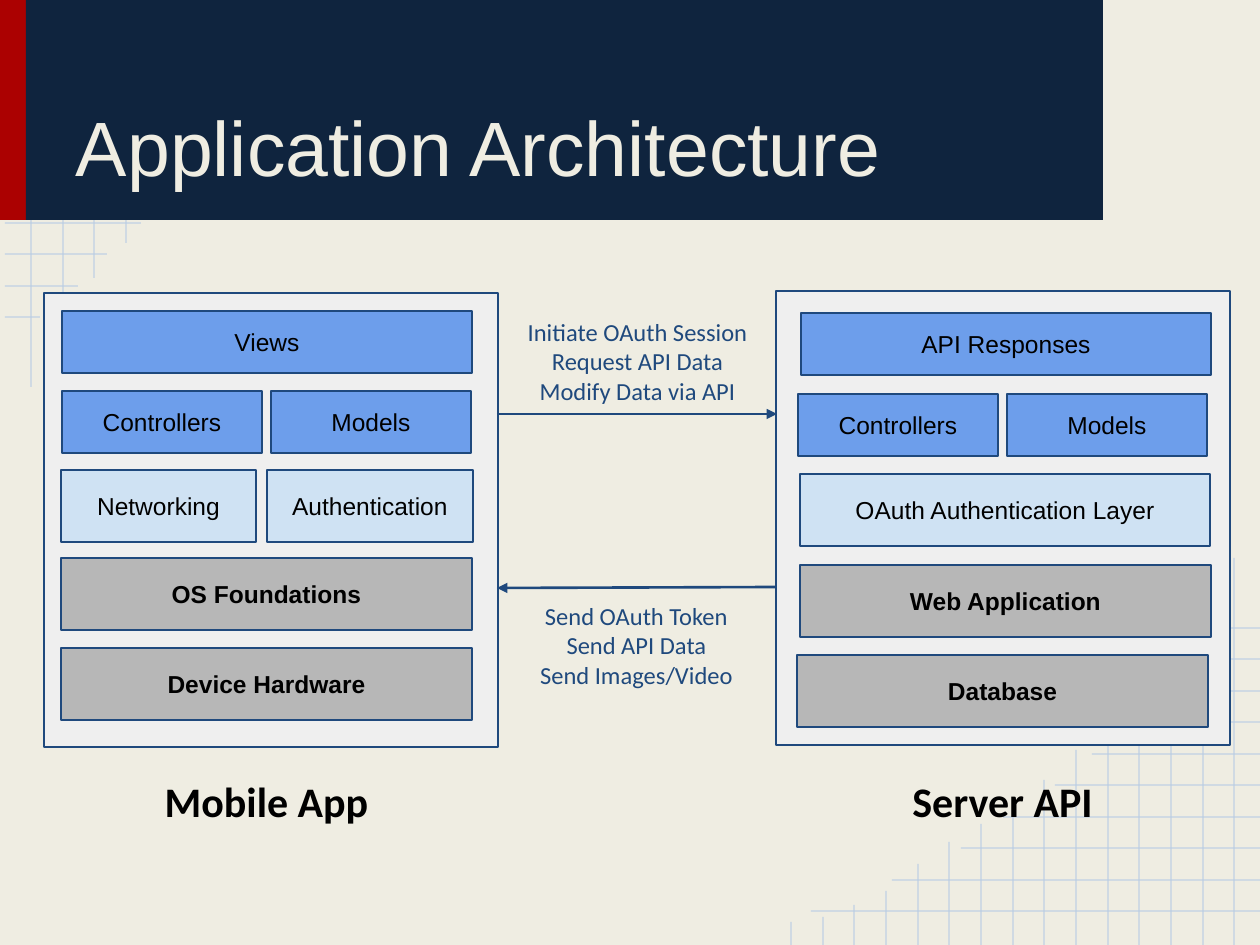
from lxml import etree
from pptx import Presentation
from pptx.dml.color import RGBColor
from pptx.enum.shapes import MSO_CONNECTOR, MSO_SHAPE
from pptx.enum.text import MSO_ANCHOR, MSO_AUTO_SIZE, PP_ALIGN
from pptx.oxml.ns import qn
from pptx.util import Emu, Pt

RECT = MSO_SHAPE.RECTANGLE
STRAIGHT = MSO_CONNECTOR.STRAIGHT
TOP, MIDDLE, BOTTOM = MSO_ANCHOR.TOP, MSO_ANCHOR.MIDDLE, MSO_ANCHOR.BOTTOM
LEFT, CENTER = PP_ALIGN.LEFT, PP_ALIGN.CENTER
NO_FIT = MSO_AUTO_SIZE.NONE

EMU_PER_PX = 914400 / 126
CREAM, RED, NAVY, BLUE = "EFEDE2", "AB0101", "0F243E", "1F497D"
GRID, PANEL, BLACK = "B7CCE4", "EFEFEF", "000000"
LOGIC, SERVICE, BASE = "6D9EEB", "CFE2F3", "B7B7B7"

LEFT_GRID_ENDS = [141, 107, 78, 40]
LEFT_GRID_BOTTOMS = [387, 340, 278, 243]
RIGHT_GRID_STARTS = [811, 892, 961, 1003, 1055, 1092, 1124, 1158, 1187, 1223]
RIGHT_GRID_TOPS = [558, 605, 667, 702, 728, 750, 780, 800, 824, 842, 864, 891, 905, 917, 922]

SYSTEMS = [
    ("Mobile App", 61, 44, 293, [
        (LOGIC, 311, 62, [("Views", 62, 410)]),
        (LOGIC, 391, 62, [("Controllers", 62, 200), ("Models", 271, 200)]),
        (SERVICE, 470, 72, [("Networking", 61, 195), ("Authentication", 267, 206)]),
        (BASE, 558, 72, [("OS Foundations", 61, 411)]),
        (BASE, 648, 72, [("Device Hardware", 61, 411)]),
    ]),
    ("Server API", 797, 776, 291, [
        (LOGIC, 313, 62, [("API Responses", 801, 410)]),
        (LOGIC, 394, 62, [("Controllers", 798, 200), ("Models", 1007, 200)]),
        (SERVICE, 474, 72, [("OAuth Authentication Layer", 800, 410)]),
        (BASE, 565, 72, [("Web Application", 800, 411)]),
        (BASE, 655, 72, [("Database", 797, 411)]),
    ]),
]


def px(length):
    return Emu(round(length * EMU_PER_PX))


def color(value):
    return RGBColor.from_string(value)


class ArchitectureSlide:
    """Holds the slide and draws its elements in one shared style."""

    def __init__(self, slide):
        self.shapes = slide.shapes
        slide.background.fill.solid()
        slide.background.fill.fore_color.rgb = color(CREAM)

    def set_text(self, shape, text, size, font, ink, bold=False, align=CENTER, anchor=MIDDLE):
        frame = shape.text_frame
        frame.text = text
        frame.word_wrap = True
        frame.auto_size = NO_FIT
        frame.vertical_anchor = anchor
        frame.margin_left = frame.margin_right = px(13)
        frame.margin_top = frame.margin_bottom = px(13)
        for paragraph in frame.paragraphs:
            paragraph.alignment = align
            for run in paragraph.runs:
                run.font.size = Pt(size)
                run.font.name = font
                run.font.bold = bold
                run.font.color.rgb = color(ink)

    def title(self, text, *box):
        title = self.shapes.title
        title.left, title.top, title.width, title.height = map(px, box)
        self.set_text(title, text, 44, "Arial", CREAM, align=LEFT, anchor=BOTTOM)
        self.shapes._spTree.append(title._element)

    def rectangle(self, fill, *box, outline=None):
        rectangle = self.shapes.add_shape(RECT, *map(px, box))
        rectangle.shadow.inherit = False
        rectangle.fill.solid()
        rectangle.fill.fore_color.rgb = color(fill)
        if outline:
            rectangle.line.color.rgb = color(outline)
            rectangle.line.width = Pt(1.5)
        else:
            rectangle.line.fill.background()
        return rectangle

    def block(self, text, fill, *box):
        block = self.rectangle(fill, *box, outline=BLUE)
        self.set_text(block, text, 14, "Arial", BLACK, bold=fill == BASE)

    def label(self, text, *box, size=14, ink=BLUE, bold=False, anchor=TOP):
        label = self.shapes.add_textbox(*map(px, box))
        self.set_text(label, text, size, "Calibri", ink, bold, anchor=anchor)

    def line(self, ink, width, *ends):
        line = self.shapes.add_connector(STRAIGHT, *map(px, ends))
        line.line.color.rgb = color(ink)
        line.line.width = Pt(width)
        properties = line._element.spPr
        etree.SubElement(properties, qn("a:effectLst"))
        return properties.find(qn("a:ln"))

    def grid_line(self, *ends):
        outline = self.line(GRID, 1, *ends)
        ink = outline.find(".//" + qn("a:srgbClr"))
        etree.SubElement(ink, qn("a:alpha"), val="54000")

    def arrow(self, *ends):
        outline = self.line(BLUE, 1.5, *ends)
        etree.SubElement(outline, qn("a:tailEnd"), type="triangle")


def main():
    deck = Presentation()
    deck.slide_width, deck.slide_height = px(1260), px(945)
    page = ArchitectureSlide(deck.slides.add_slide(deck.slide_layouts[5]))

    for i, (end, bottom) in enumerate(zip(LEFT_GRID_ENDS, LEFT_GRID_BOTTOMS)):
        x, y = 63 * (i + 1) // 2, 223 + 63 * i // 2
        page.grid_line(5, y, end, y)
        page.grid_line(x, bottom, x, 0)
    for i, start in enumerate(RIGHT_GRID_STARTS):
        y = 911 - 63 * i // 2
        page.grid_line(1260, y, start, y)
    for i, top in enumerate(RIGHT_GRID_TOPS):
        x = 1234 - 95 * i // 3
        page.grid_line(x, top, x, 945)

    page.rectangle(RED, 0, 0, 26, 220)
    page.rectangle(NAVY, 26, 0, 1077, 220)
    page.title("Application Architecture", 63, 19, 1008, 186)

    for name, name_left, panel_left, panel_top, rows in SYSTEMS:
        page.rectangle(PANEL, panel_left, panel_top, 454, 454, outline=BLUE)
        for fill, top, height, cells in rows:
            for text, left, width in cells:
                page.block(text, fill, left, top, width, height)
        page.label(name, name_left, 765, 411, 72, size=24, ink=BLACK, bold=True, anchor=MIDDLE)

    page.arrow(497, 414, 777, 414)
    page.arrow(776, 587, 497, 588)
    page.label("Initiate OAuth Session\nRequest API Data\nModify Data via API", 497, 304, 281, 101)
    page.label("Send OAuth Token\nSend API Data\nSend Images/Video", 505, 588, 263, 113)

    deck.save("out.pptx")


if __name__ == "__main__":
    main()
